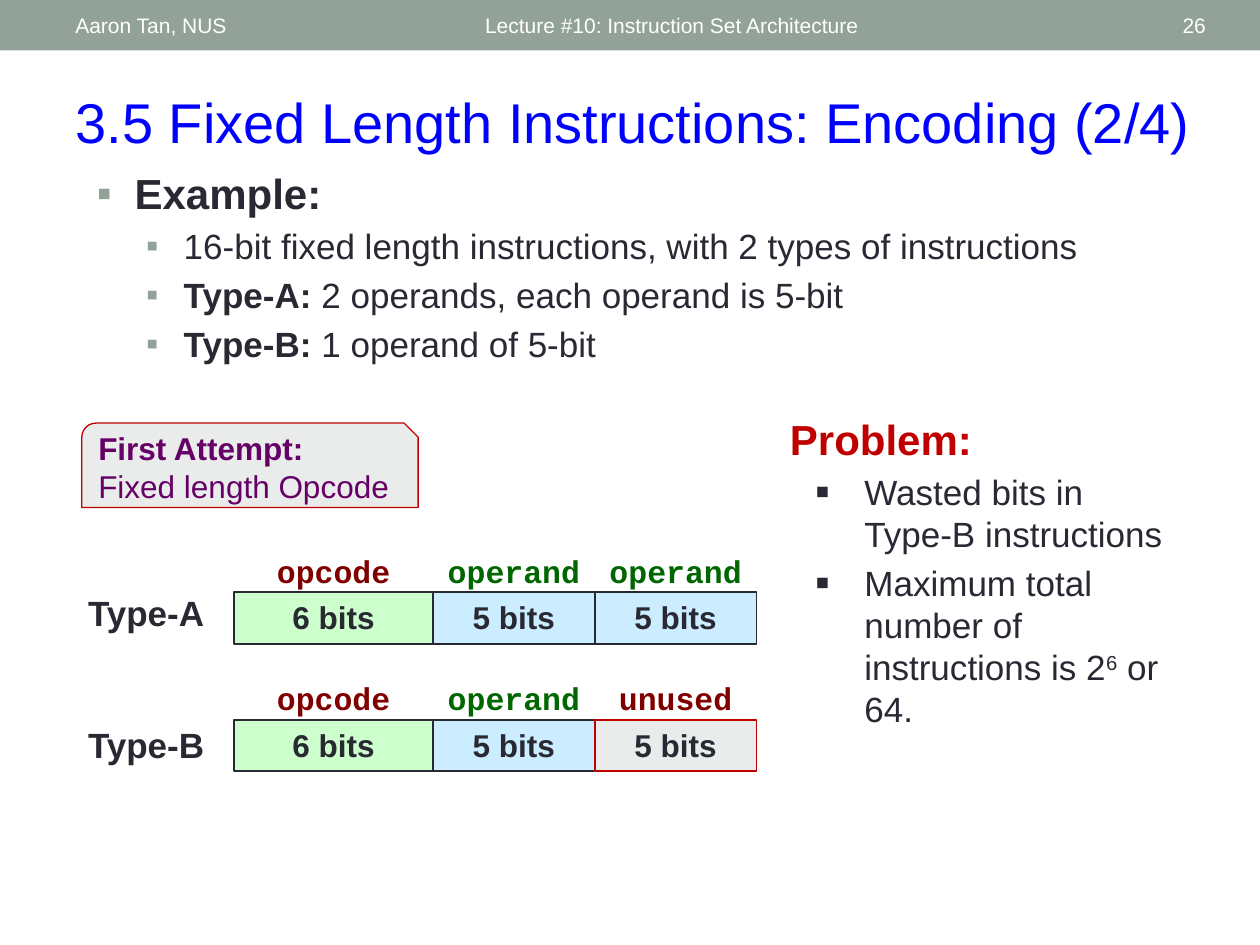
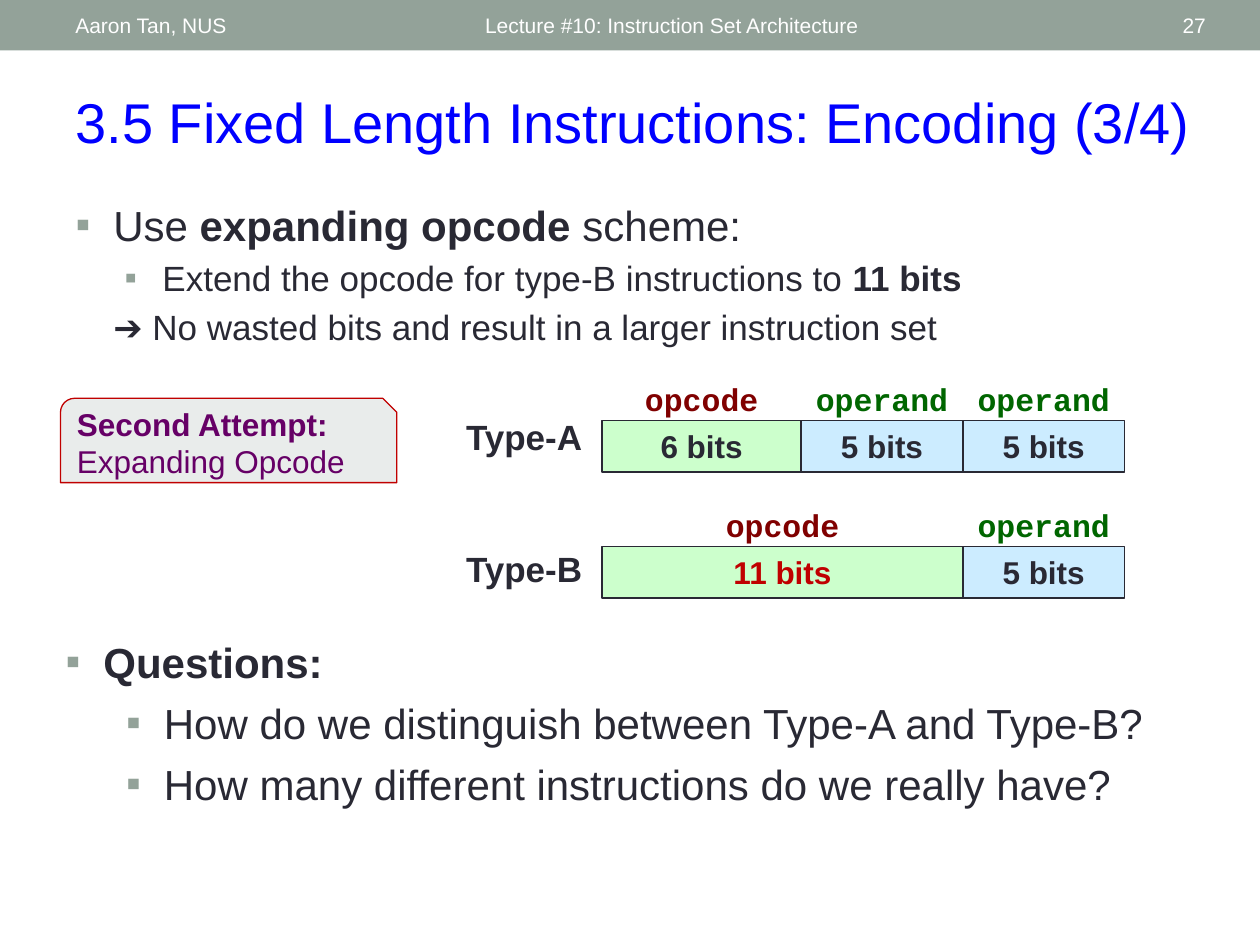
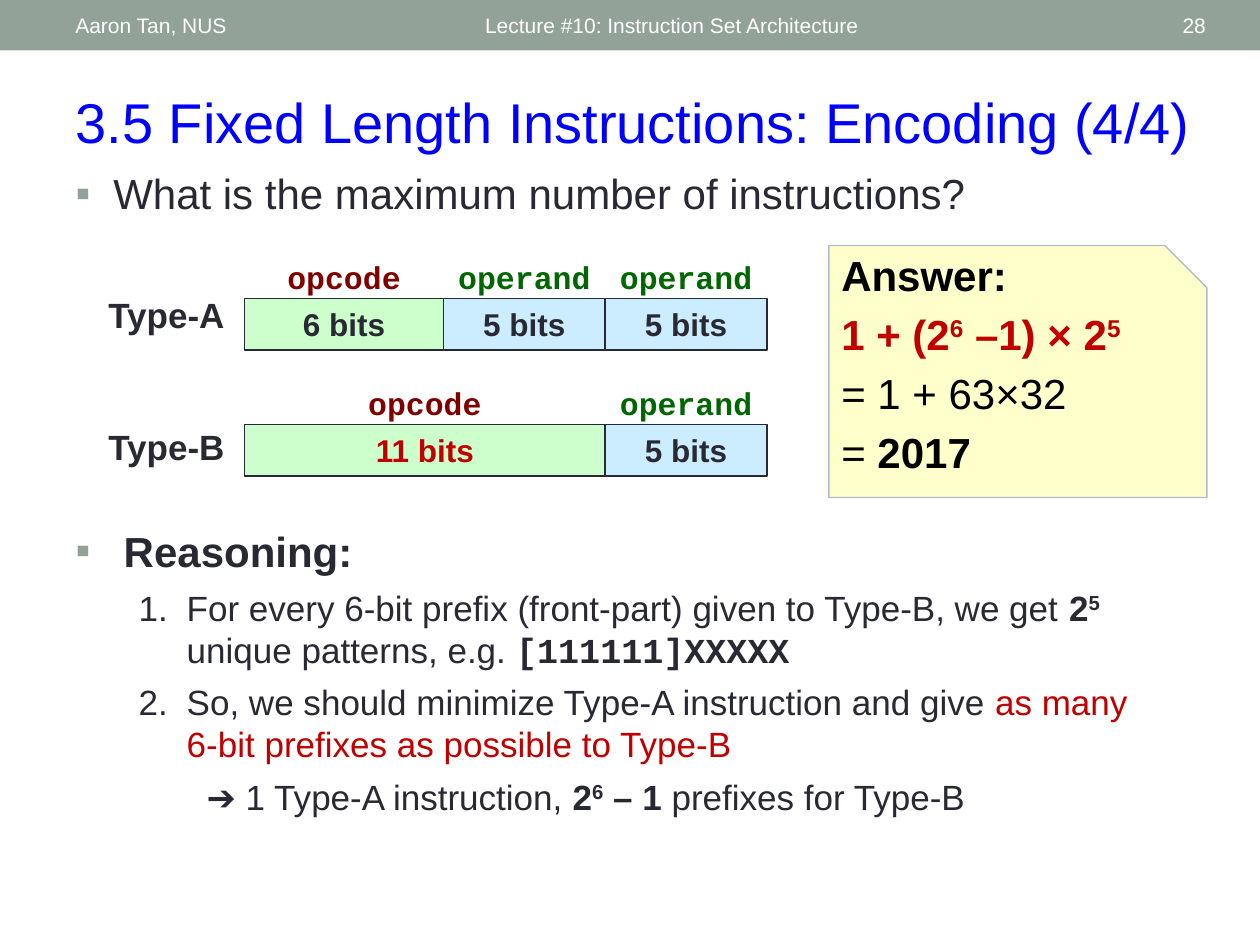
import lxml.etree
import pptx
import pptx.dml.color
import pptx.enum.shapes
import pptx.enum.text
import pptx.oxml.ns
import pptx.util

Cm = pptx.util.Cm
Pt = pptx.util.Pt
ALIGN = pptx.enum.text.PP_ALIGN
ANCHOR = pptx.enum.text.MSO_ANCHOR
SHAPES = pptx.enum.shapes.MSO_SHAPE

COLORS = {
    "band": "93A299", "white": "FFFFFF", "title": "0000FF", "ink": "292934",
    "red": "C00000", "purple": "660066", "black": "000000",
    "opcode": "800000", "operand": "006600", "unused": "800000",
    "opcode_fill": "CCFFCC", "operand_fill": "CCECFF", "unused_fill": "E9ECEB",
    "note_fill": "FFFFCC", "note_line": "B3BBC6",
}
FIELD_WIDTHS = {5: 3.26, 6: 4.01, 11: 7.27}
FIELD_HEIGHT = 1.04
CAPTION_WIDTH, CAPTION_HEIGHT, CAPTION_RISE = 3.07, 0.81, 0.85
NAME_WIDTH, NAME_HEIGHT = 3.3, 1.09

BOLD = {"bold": True}
SUPER = {"bold": True, "raised": True}
SQUARE = {"char": "▪", "color": "band"}
DARK_SQUARE = {"char": "▪", "color": "ink", "percent": 120}
NUMBER = {"auto": "arabicPeriod"}

TYPE_A = [("opcode", 6, "ink"), ("operand", 5, "ink"), ("operand", 5, "ink")]
WASTEFUL_B = [("opcode", 6, "ink"), ("operand", 5, "ink"), ("unused", 5, "ink")]
EXPANDED_B = [("opcode", 11, "red"), ("operand", 5, "ink")]
EXPANDING = [("Type-A", 0.23, TYPE_A), ("Type-B", 0.1, EXPANDED_B)]


def rgb(name):
    return pptx.dml.color.RGBColor.from_string(COLORS[name])


def add_run(paragraph, text, size, color="ink", bold=False, font="Arial", raised=False):
    if text == "\n":
        paragraph.add_line_break()
        return
    run = paragraph.add_run()
    run.text = text
    run.font.size = Pt(size)
    run.font.name = font
    run.font.bold = bold
    run.font.color.rgb = rgb(color)
    if raised:
        run.font._element.set("baseline", "30000")


def set_bullet(properties, bullet):
    def add(tag, **attributes):
        child = lxml.etree.SubElement(properties, pptx.oxml.ns.qn("a:" + tag))
        for key, value in attributes.items():
            child.set(key, value)
        return child

    if not bullet:
        add("buNone")
    elif "auto" in bullet:
        add("buFont", typeface="Arial")
        add("buAutoNum", type=bullet["auto"])
    else:
        color = add("buClr")
        lxml.etree.SubElement(color, pptx.oxml.ns.qn("a:srgbClr")).set("val", COLORS[bullet["color"]])
        add("buSzPct", val=str(bullet.get("percent", 100) * 1000))
        add("buFont", typeface="Arial")
        add("buChar", char=bullet["char"])


def item(runs, size=20, level=0, left=0, hang=0, space=4, bullet=None):
    return {"runs": runs, "size": size, "level": level, "left": left,
            "hang": hang, "space": space, "bullet": bullet}


def fill_list(frame, items):
    for index, entry in enumerate(items):
        paragraph = frame.add_paragraph() if index else frame.paragraphs[0]
        paragraph.level = entry["level"]
        paragraph.alignment = ALIGN.LEFT
        paragraph.space_before = Pt(entry["space"] if index else 0)
        properties = paragraph._p.get_or_add_pPr()
        properties.set("marL", str(Cm(entry["left"])))
        properties.set("indent", str(-Cm(entry["hang"])))
        set_bullet(properties, entry["bullet"])
        for text, style in entry["runs"]:
            add_run(paragraph, text, entry["size"], **style)


def place(shape, box):
    shape.left, shape.top, shape.width, shape.height = (Cm(length) for length in box)


def prepare_frame(frame, anchor=ANCHOR.TOP):
    frame.word_wrap = True
    frame.auto_size = pptx.enum.text.MSO_AUTO_SIZE.NONE
    frame.vertical_anchor = anchor
    return frame


def add_label(slide, box, text, size, align=ALIGN.LEFT, anchor=ANCHOR.TOP, inset=None, **style):
    frame = prepare_frame(slide.shapes.add_textbox(*(Cm(length) for length in box)).text_frame, anchor)
    if inset is not None:
        frame.margin_left = frame.margin_right = frame.margin_top = frame.margin_bottom = Cm(inset)
    frame.paragraphs[0].alignment = align
    add_run(frame.paragraphs[0], text, size, **style)


def add_panel(slide, kind, box, fill, line=None, weight=1.0):
    panel = slide.shapes.add_shape(kind, *(Cm(length) for length in box))
    panel.shadow.inherit = False
    panel.fill.solid()
    panel.fill.fore_color.rgb = rgb(fill)
    if line:
        panel.line.color.rgb = rgb(line)
        panel.line.width = Pt(weight)
    else:
        panel.line.fill.background()
    return panel


def add_master_band(deck, slide):
    band = add_panel(slide, SHAPES.RECTANGLE, (0, 0, 25.4, 1.02), "band")
    deck.slide_master.shapes.element.insert(2, band.element)


def add_encoding_slide(deck, part, number):
    slide = deck.slides.add_slide(deck.slide_layouts[3])
    header = {"size": 12, "anchor": ANCHOR.MIDDLE, "color": "white"}
    add_label(slide, (9.53, 0.05, 11.43, 0.91), "Lecture #10: Instruction Set Architecture", **header)
    add_label(slide, (1.27, 0.05, 8.05, 0.91), "Aaron Tan, NUS", **header)
    add_label(slide, (22.15, 0.05, 2.41, 0.91), str(number), align=ALIGN.RIGHT, **header)
    title = slide.shapes.title
    place(title, (1.27, 1.63, 23.29, 1.63))
    heading = prepare_frame(title.text_frame).paragraphs[0]
    heading.alignment = ALIGN.LEFT
    add_run(heading, f"3.5 Fixed Length Instructions: Encoding ({part}/4)", 32, "title")
    return slide


def add_list(slide, slot, box, items):
    body = slide.placeholders[slot]
    place(body, box)
    fill_list(prepare_frame(body.text_frame), items)


def add_field(slide, left, top, kind, bits, color):
    width = FIELD_WIDTHS[bits]
    line = "red" if kind == "unused" else "ink"
    cell = add_panel(slide, SHAPES.RECTANGLE, (left, top, width, FIELD_HEIGHT), kind + "_fill", line)
    frame = prepare_frame(cell.text_frame)
    frame.paragraphs[0].alignment = ALIGN.CENTER
    add_run(frame.paragraphs[0], f"{bits} bits", 18, color, bold=True)
    caption_box = (left + (width - CAPTION_WIDTH) / 2, top - CAPTION_RISE, CAPTION_WIDTH, CAPTION_HEIGHT)
    add_label(slide, caption_box, kind, 18, ALIGN.CENTER, inset=0.03,
              color=kind, bold=True, font="Courier New")
    return left + width


def add_formats(slide, left, top, formats, pitch=2.54, name_gap=0.15):
    for row, (name, rise, fields) in enumerate(formats):
        row_top = top + row * pitch
        name_box = (left - name_gap - NAME_WIDTH, row_top - rise, NAME_WIDTH, NAME_HEIGHT)
        add_label(slide, name_box, name, 20, ALIGN.RIGHT, bold=True)
        edge = left
        for kind, bits, color in fields:
            edge = add_field(slide, edge, row_top, kind, bits, color)


def add_attempt(slide, left, top, attempt, scheme):
    tag = add_panel(slide, SHAPES.SNIP_ROUND_RECTANGLE, (left, top, 6.78, 1.7), "unused_fill", "red", 0.75)
    fill_list(prepare_frame(tag.text_frame, ANCHOR.MIDDLE), [
        item([(attempt, {"color": "purple", "bold": True})], 18),
        item([(scheme, {"color": "purple"})], 18, space=0),
    ])


def add_answer(slide, box):
    note = add_panel(slide, SHAPES.SNIP_1_RECTANGLE, box, "note_fill", "note_line", 0.75)
    frame = prepare_frame(note.text_frame, ANCHOR.MIDDLE)
    frame.margin_bottom = Cm(0.89)
    black = {"color": "black"}
    formula = {"color": "red", "bold": True}
    power = {**formula, "raised": True}
    lines = [
        [("Answer:", {**black, **BOLD})],
        [("1 + (2", formula), ("6", power), (" –1) × 2", formula), ("5", power)],
        [("= 1 + 63×32", black)],
        [("= ", black), ("2017", {**black, **BOLD})],
    ]
    fill_list(frame, [item(runs, 24, space=4.8) for runs in lines])


def build_first_attempt(deck):
    slide = add_encoding_slide(deck, 2, 26)
    add_master_band(deck, slide)
    point = {"level": 1, "left": 1.75, "hang": 0.76, "bullet": SQUARE}
    add_list(slide, 1, (1.7, 3.25, 22.86, 4.65), [
        item([("Example:", BOLD)], 24, left=0.76, hang=0.76, bullet=SQUARE),
        item([("16-bit fixed length instructions, with 2 types of instructions", {})], **point),
        item([("Type-A: ", BOLD), ("2 operands, each operand is 5-bit", {})], **point),
        item([("Type-B: ", BOLD), ("1 operand of 5-bit", {})], **point),
    ])
    add_formats(slide, 4.72, 11.94, [("Type-A", 0.15, TYPE_A), ("Type-B", 0.05, WASTEFUL_B)],
                pitch=2.57, name_gap=0.35)
    problem = {"level": 1, "left": 1.5, "hang": 0.99, "bullet": DARK_SQUARE}
    add_list(slide, 2, (15.67, 8.2, 8.46, 7.19), [
        item([("Problem:", {"color": "red", "bold": True})], 24),
        item([("Wasted bits in ", {}), ("\n", {}), ("Type-B instructions", {})], **problem),
        item([("Maximum total number of instructions is 2", {}), ("6", {"raised": True}),
              (" or 64.", {})], **problem),
    ])
    add_attempt(slide, 1.65, 8.53, "First Attempt:", "Fixed length Opcode")


def build_second_attempt(deck):
    slide = add_encoding_slide(deck, 3, 27)
    add_list(slide, 1, (1.27, 3.89, 22.86, 3.51), [
        item([("Use ", {}), ("expanding opcode ", BOLD), ("scheme:", {})], 24,
             left=0.76, hang=0.76, bullet=SQUARE),
        item([("Extend the opcode for type-B instructions to ", {}), ("11 bits", BOLD)],
             level=1, left=1.75, hang=0.76, bullet=SQUARE),
        item([("➔ No wasted bits and result in a larger instruction set", {})],
             level=1, left=1.27, hang=0.51),
    ])
    add_formats(slide, 12.14, 8.48, EXPANDING)
    question = {"size": 24, "level": 1, "left": 1.98, "hang": 0.76, "space": 6, "bullet": SQUARE}
    add_list(slide, 2, (1.07, 12.7, 22.86, 4.01), [
        item([("Questions:", BOLD)], 24, left=0.76, hang=0.76, bullet=SQUARE),
        item([("How do we distinguish between Type-A and Type-B?", {})], **question),
        item([("How many different instructions do we really have?", {})], **question),
    ])
    add_attempt(slide, 1.22, 8.03, "Second Attempt:", "Expanding Opcode")


def build_maximum_count(deck):
    slide = add_encoding_slide(deck, 4, 28)
    add_list(slide, 1, (1.27, 3.25, 22.86, 2.34), [
        item([("What is the maximum number of instructions?", {})], 24,
             left=0.76, hang=0.76, bullet=SQUARE),
    ])
    step = {"level": 1, "left": 2.24, "hang": 0.97, "space": 6, "bullet": NUMBER}
    add_list(slide, 2, (1.27, 10.46, 22.43, 6.78), [
        item([("Reasoning:", BOLD)], 24, left=0.97, hang=0.97, bullet=SQUARE),
        item([("For every 6-bit prefix (front-part) given to Type-B, we get ", {}), ("2", BOLD),
              ("5", SUPER), (" unique patterns, e.g. ", {}),
              ("[111111]XXXXX", {"bold": True, "font": "Courier New"})], **step),
        item([("So, we should minimize Type-A instruction and give ", {}),
              ("as many 6-bit prefixes as possible to Type-B", {"color": "red"})], **step),
        item([("➔ 1 Type-A instruction, ", {}), ("2", BOLD), ("6", SUPER), (" – 1", BOLD),
              (" prefixes for Type-B", {})], level=1, left=2.64, space=6),
    ])
    add_formats(slide, 4.93, 6.02, EXPANDING)
    add_answer(slide, (16.71, 4.95, 7.62, 5.08))


def main():
    deck = pptx.Presentation()
    deck.slide_width, deck.slide_height = Cm(25.4), Cm(19.05)
    build_first_attempt(deck)
    build_second_attempt(deck)
    build_maximum_count(deck)
    deck.save("out.pptx")


if __name__ == "__main__":
    main()
